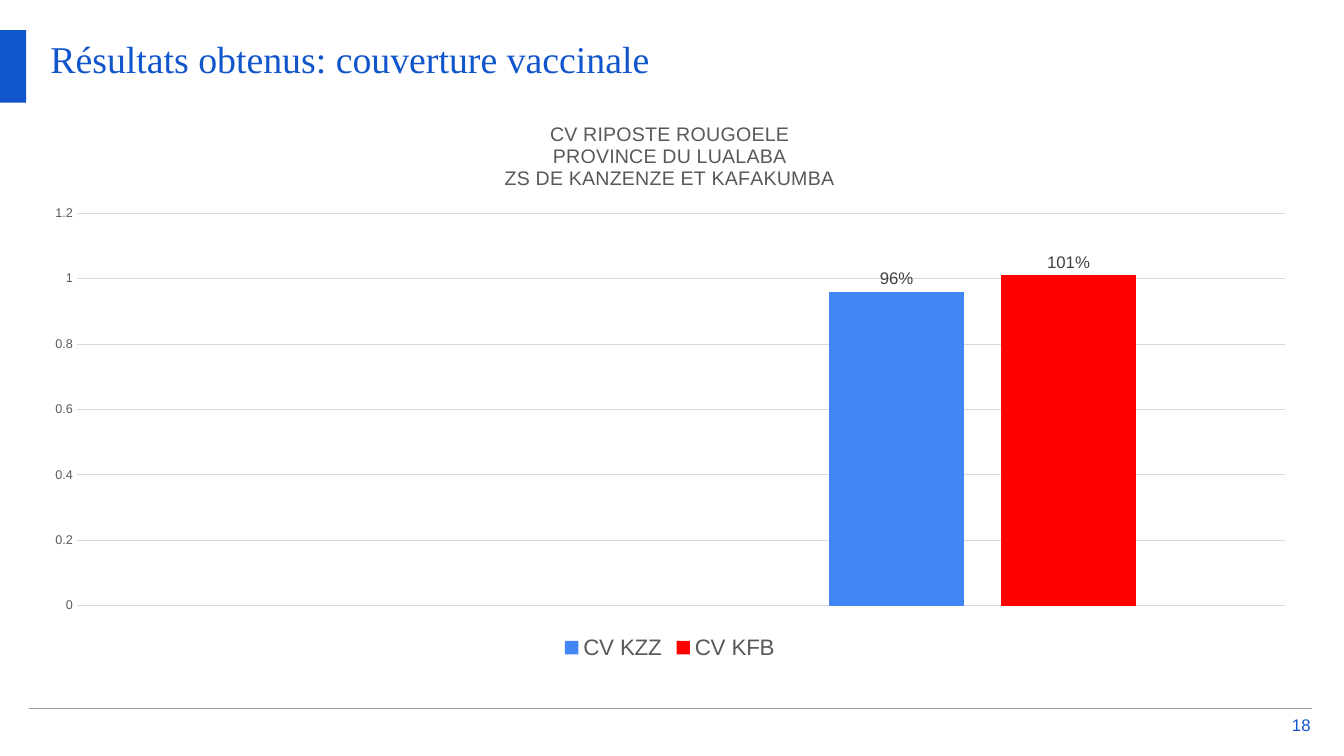
from dataclasses import dataclass

from lxml import etree
from pptx import Presentation
from pptx.chart.data import CategoryChartData
from pptx.dml.color import RGBColor
from pptx.enum import chart as ch, shapes, text
from pptx.oxml import parse_xml
from pptx.oxml.ns import nsdecls, qn
from pptx.util import Cm, Pt

BLUE = RGBColor(0x11, 0x55, 0xCC)
RULE_GRAY = RGBColor(0x9E, 0x9E, 0x9E)
GRID_GRAY = RGBColor(0xD9, 0xD9, 0xD9)
TEXT_GRAY = RGBColor(0x59, 0x59, 0x59)
LABEL_GRAY = RGBColor(0x40, 0x40, 0x40)
KZZ_BLUE = RGBColor(0x42, 0x85, 0xF4)
KFB_RED = RGBColor(0xFF, 0x00, 0x00)


@dataclass
class Coverage:
    name: str
    value: float
    color: RGBColor


COVERAGES = [
    Coverage("CV KZZ", 0.96, KZZ_BLUE),
    Coverage("CV KFB", 1.01, KFB_RED),
]
CHART_TITLE = (
    "CV RIPOSTE ROUGOELE\n"
    "PROVINCE DU LUALABA\n"
    "ZS DE KANZENZE ET KAFAKUMBA"
)


def set_font(font, name: str, size: float, color: RGBColor) -> None:
    font.name, font.size, font.bold = name, Pt(size), False
    font.color.rgb = color


def write(sp, words: str, font: str, size: float, anchor, align) -> None:
    """Fill a shape with one blue paragraph, without insets."""
    tf = sp.text_frame
    tf.margin_left = tf.margin_right = tf.margin_top = tf.margin_bottom = 0
    tf.word_wrap = True
    tf.auto_size = text.MSO_AUTO_SIZE.NONE
    tf.vertical_anchor = anchor
    p = tf.paragraphs[0]
    p.text, p.alignment = words, align
    set_font(p.font, font, size, BLUE)


def add_heading(s) -> None:
    title = s.shapes.title
    title.left, title.top = Cm(1.27), Cm(0.89)
    title.width, title.height = Cm(31.32), Cm(2.03)
    write(title, "Résultats obtenus: couverture vaccinale", "Times New Roman", 27,
          text.MSO_ANCHOR.TOP, text.PP_ALIGN.LEFT)

    bar = s.shapes.add_shape(shapes.MSO_SHAPE.RECTANGLE, 0, Cm(0.76), Cm(0.66), Cm(1.83))
    bar.shadow.inherit = False
    bar.fill.solid()
    bar.fill.fore_color.rgb = BLUE
    bar.line.fill.background()


def add_footer(s) -> None:
    number = s.shapes.add_textbox(Cm(32.39), Cm(18.03), Cm(0.64), Cm(0.46))
    write(number, "18", "Arial", 12, text.MSO_ANCHOR.MIDDLE, text.PP_ALIGN.RIGHT)

    rule = s.shapes.add_connector(
        shapes.MSO_CONNECTOR.STRAIGHT, Cm(0.74), Cm(17.86), Cm(33.07), Cm(17.86))
    rule.line.color.rgb, rule.line.width = RULE_GRAY, Pt(1)
    etree.SubElement(rule._element.spPr, qn("a:effectLst"))


def place_plot(chart, x: float, y: float, w: float, h: float) -> None:
    """Fix the inner plot area, as fractions of the chart."""
    plot_area = chart._chartSpace.chart.plotArea
    for old in plot_area.findall(qn("c:layout")):
        plot_area.remove(old)
    plot_area.insert(0, parse_xml(
        f'<c:layout {nsdecls("c")}><c:manualLayout><c:layoutTarget val="inner"/>'
        '<c:xMode val="edge"/><c:yMode val="edge"/>'
        f'<c:x val="{x}"/><c:y val="{y}"/><c:w val="{w}"/><c:h val="{h}"/>'
        '</c:manualLayout></c:layout>'))


def format_axes(chart) -> None:
    values = chart.value_axis
    values.minimum_scale, values.maximum_scale, values.major_unit = 0, 1.2, 0.2
    values.major_tick_mark = ch.XL_TICK_MARK.NONE
    values.format.line.fill.background()
    values.major_gridlines.format.line.color.rgb = GRID_GRAY
    values.major_gridlines.format.line.width = Pt(0.75)
    values.tick_labels.number_format = "General"
    values.tick_labels.number_format_is_linked = False
    set_font(values.tick_labels.font, "Arial", 9, TEXT_GRAY)
    chart.category_axis.visible = False


def add_coverage_chart(s) -> None:
    data = CategoryChartData(number_format="0%")
    data.categories = ["1", "2"]
    for c in COVERAGES:
        data.add_series(c.name, [None, c.value])
    chart = s.shapes.add_chart(
        ch.XL_CHART_TYPE.COLUMN_CLUSTERED,
        Cm(0.74), Cm(2.57), Cm(32.28), Cm(14.17), data).chart
    set_font(chart.font, "Arial", 10, RGBColor(0, 0, 0))

    tf = chart.chart_title.text_frame
    tf.text = CHART_TITLE
    for p in tf.paragraphs:
        set_font(p.font, "Arial", 14, TEXT_GRAY)
    chart.chart_title.include_in_layout = False

    chart.has_legend = True
    chart.legend.position = ch.XL_LEGEND_POSITION.BOTTOM
    chart.legend.include_in_layout = False
    set_font(chart.legend.font, "Arial", 16, TEXT_GRAY)

    format_axes(chart)
    place_plot(chart, 0.037, 0.198, 0.943, 0.698)

    plot = chart.plots[0]
    plot.gap_width, plot.overlap, plot.vary_by_categories = 219, -27, False
    for series, c in zip(plot.series, COVERAGES):
        series.format.fill.solid()
        series.format.fill.fore_color.rgb = c.color
        series.invert_if_negative = False
        labels = series.data_labels
        labels.show_value = True
        labels.number_format, labels.number_format_is_linked = "0%", False
        labels.position = ch.XL_LABEL_POSITION.OUTSIDE_END
        set_font(labels.font, "Arial", 12, LABEL_GRAY)


def main() -> None:
    prs = Presentation()
    prs.slide_width, prs.slide_height = Cm(33.87), Cm(19.05)
    s = prs.slides.add_slide(prs.slide_layouts[5])
    add_heading(s)
    add_footer(s)
    add_coverage_chart(s)
    prs.save("out.pptx")


if __name__ == "__main__":
    main()
